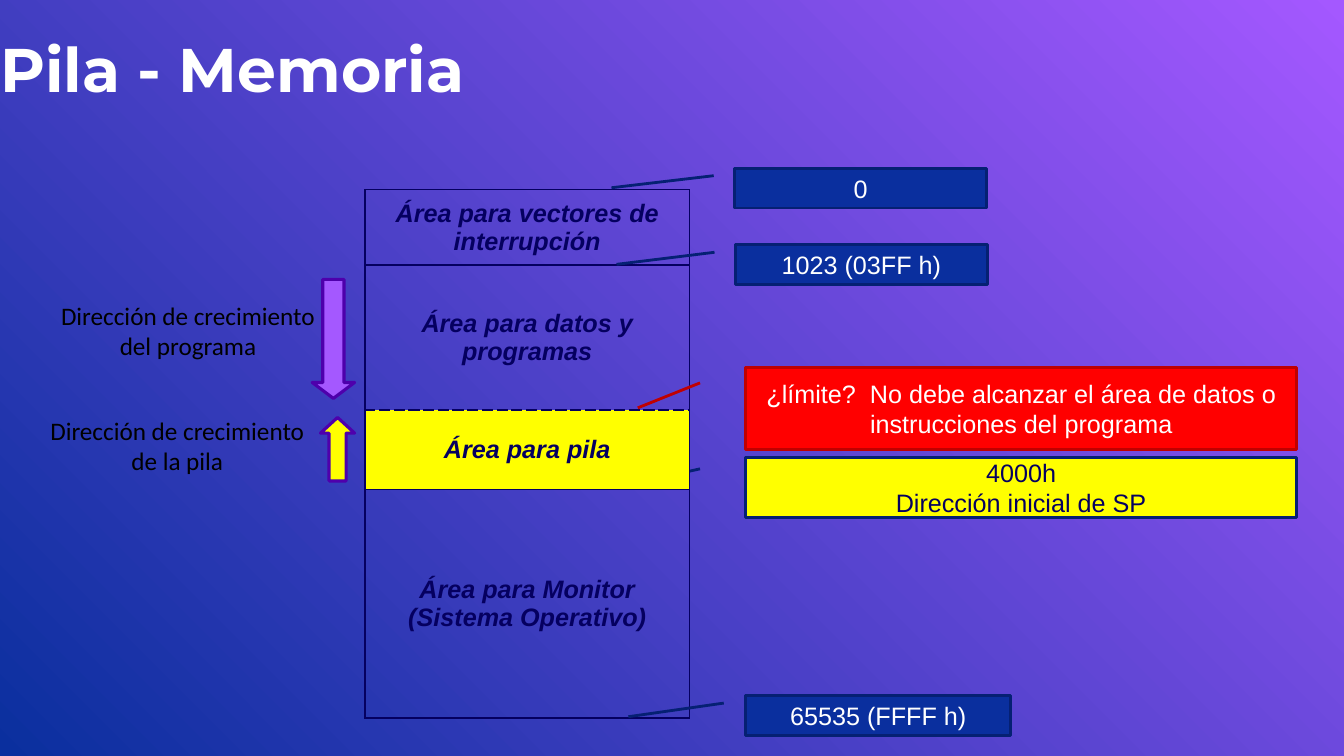
from lxml.etree import SubElement
from pptx import Presentation
from pptx.dml.color import RGBColor
from pptx.enum.shapes import MSO_SHAPE
from pptx.enum.text import MSO_ANCHOR, MSO_AUTO_SIZE, PP_ALIGN
from pptx.oxml.ns import qn
from pptx.util import Cm, Pt

COLORS = {
    "purple": "A458FF", "violet": "4E00AC", "blue": "0A2F9E", "navy": "052073",
    "ink": "050060", "yellow": "FFFF00", "red": "FF0000", "dark_red": "C00000",
    "white": "FFFFFF", "black": "000000",
}


def rgb(name):
    return RGBColor.from_string(COLORS[name])


class MemorySlide:
    """Current slide with its fonts and text style."""

    font, label_font, title_font = "Arial", "Calibri", "Montserrat"
    size = 18

    def __init__(self, prs):
        self.slide = prs.slides.add_slide(prs.slide_layouts[5])

    def background(self, start, end):
        fill = self.slide.background.fill
        fill.gradient()
        fill.gradient_angle = 225
        for stop, color in zip(fill.gradient_stops, (start, end)):
            stop.color.rgb = rgb(color)

    def set_text(self, tf, text, color, font=None, size=None, align=PP_ALIGN.CENTER,
                 bold=False, italic=False):
        tf.word_wrap = True
        tf.text = text
        for p in tf.paragraphs:
            p.alignment = align
            p.font.name, p.font.size = font or self.font, Pt(size or self.size)
            p.font.bold, p.font.italic = bold, italic
            p.font.color.rgb = rgb(color)

    def title(self, text, box):
        sp = self.slide.shapes.title
        sp.left, sp.top, sp.width, sp.height = map(Cm, box)
        tf = sp.text_frame
        tf.auto_size = MSO_AUTO_SIZE.NONE
        tf.vertical_anchor = MSO_ANCHOR.BOTTOM
        tf.margin_left = tf.margin_right = tf.margin_top = tf.margin_bottom = 0
        self.set_text(tf, text, "white", self.title_font, 44, PP_ALIGN.LEFT, bold=True)

    def shape(self, kind, box, fill, line, width, adjustments):
        sp = self.slide.shapes.add_shape(kind, *map(Cm, box))
        sp.shadow.inherit = False
        sp.fill.solid()
        sp.fill.fore_color.rgb = rgb(fill)
        sp.line.color.rgb = rgb(line)
        sp.line.width = Pt(width)
        for i, value in enumerate(adjustments):
            sp.adjustments[i] = value
        return sp

    def callout(self, text, box, tip, fill="blue", line="navy", color="white"):
        sp = self.shape(MSO_SHAPE.LINE_CALLOUT_1, box, fill, line, 2,
                        (0.188, -0.083, *tip))
        sp.text_frame.vertical_anchor = MSO_ANCHOR.MIDDLE
        self.set_text(sp.text_frame, text, color)

    def label(self, text, box):
        tf = self.slide.shapes.add_textbox(*map(Cm, box)).text_frame
        tf.vertical_anchor = MSO_ANCHOR.MIDDLE
        self.set_text(tf, text, "black", self.label_font)

    def border(self, cell, sides):
        tc_pr = cell._tc.get_or_add_tcPr()
        for i, (side, dashed) in enumerate(sides.items()):
            ln = SubElement(tc_pr, qn(f"a:ln{side}"), w=str(Pt(1.47 if dashed else 1.08)))
            fill = SubElement(ln, qn("a:solidFill"))
            SubElement(fill, qn("a:srgbClr"), val=COLORS["ink"])
            SubElement(ln, qn("a:prstDash"), val="dash" if dashed else "solid")
            tc_pr.insert(i, ln)

    def memory_map(self, areas, left, top, width):
        height = sum(area[1] for area in areas)
        table = self.slide.shapes.add_table(
            len(areas), 1, Cm(left), Cm(top), Cm(width), Cm(height)).table
        table.first_row = table.horz_banding = False
        stack = next((i for i, area in enumerate(areas) if area[2]), None)
        for i, (text, row_height, fill) in enumerate(areas):
            table.rows[i].height = Cm(row_height)
            cell = table.cell(i, 0)
            cell.vertical_anchor = MSO_ANCHOR.MIDDLE
            cell.margin_left = cell.margin_right = Cm(0.33)
            cell.margin_top = cell.margin_bottom = Cm(0.13)
            if fill:
                cell.fill.solid()
                cell.fill.fore_color.rgb = rgb(fill)
            else:
                cell.fill.background()
            self.set_text(cell.text_frame, text, "ink", bold=True, italic=True)
            # The limit above the stack is dashed
            self.border(cell, {"L": False, "R": False, "T": i == stack,
                               "B": i + 1 == stack})


def main():
    prs = Presentation()
    prs.slide_width, prs.slide_height = Cm(33.88), Cm(19.05)
    s = MemorySlide(prs)
    s.background("purple", "blue")
    s.title("Pila - Memoria", (0, 0.58, 30.48, 2.06))

    # Stack pointer callout, behind the memory map
    s.callout("4000h\nDirección inicial de SP", (18.8, 11.53, 13.88, 1.52),
              (0.492, -0.233), "yellow", "navy", "ink")

    # Memory map: text, row height, fill
    s.memory_map([
        ("Área para vectores de interrupción", 1.9, None),
        ("Área para datos y programas", 3.66, None),
        ("Área para pila", 2.0, "yellow"),
        ("Área para Monitor\n(Sistema Operativo)", 5.75, None),
    ], 9.2, 4.78, 8.18)

    # Address callouts
    s.callout("0", (18.52, 4.24, 6.35, 1), (0.492, -0.489))
    s.callout("1023 (03FF h)", (18.54, 6.17, 6.35, 1), (0.492, -0.472))
    s.callout("65535 (FFFF h)", (18.8, 17.53, 6.68, 1), (0.531, -0.443))
    s.callout("¿límite?  No debe alcanzar el área de datos o instrucciones del programa",
              (18.8, 9.26, 13.89, 2.07), (0.492, -0.196), "red", "dark_red")

    # Growth directions
    s.label("Dirección de crecimiento de la pila", (0.94, 10.34, 7.06, 1.78))
    s.shape(MSO_SHAPE.UP_ARROW, (8.08, 10.52, 0.86, 1.6), "yellow", "violet", 2.25,
            (0.5, 0.46))
    s.label("Dirección de crecimiento del programa", (0.94, 7.44, 7.6, 1.78))
    s.shape(MSO_SHAPE.DOWN_ARROW, (7.87, 7.04, 1.07, 3), "purple", "violet", 2.25,
            (0.5, 0.375))

    prs.save("out.pptx")


if __name__ == "__main__":
    main()
